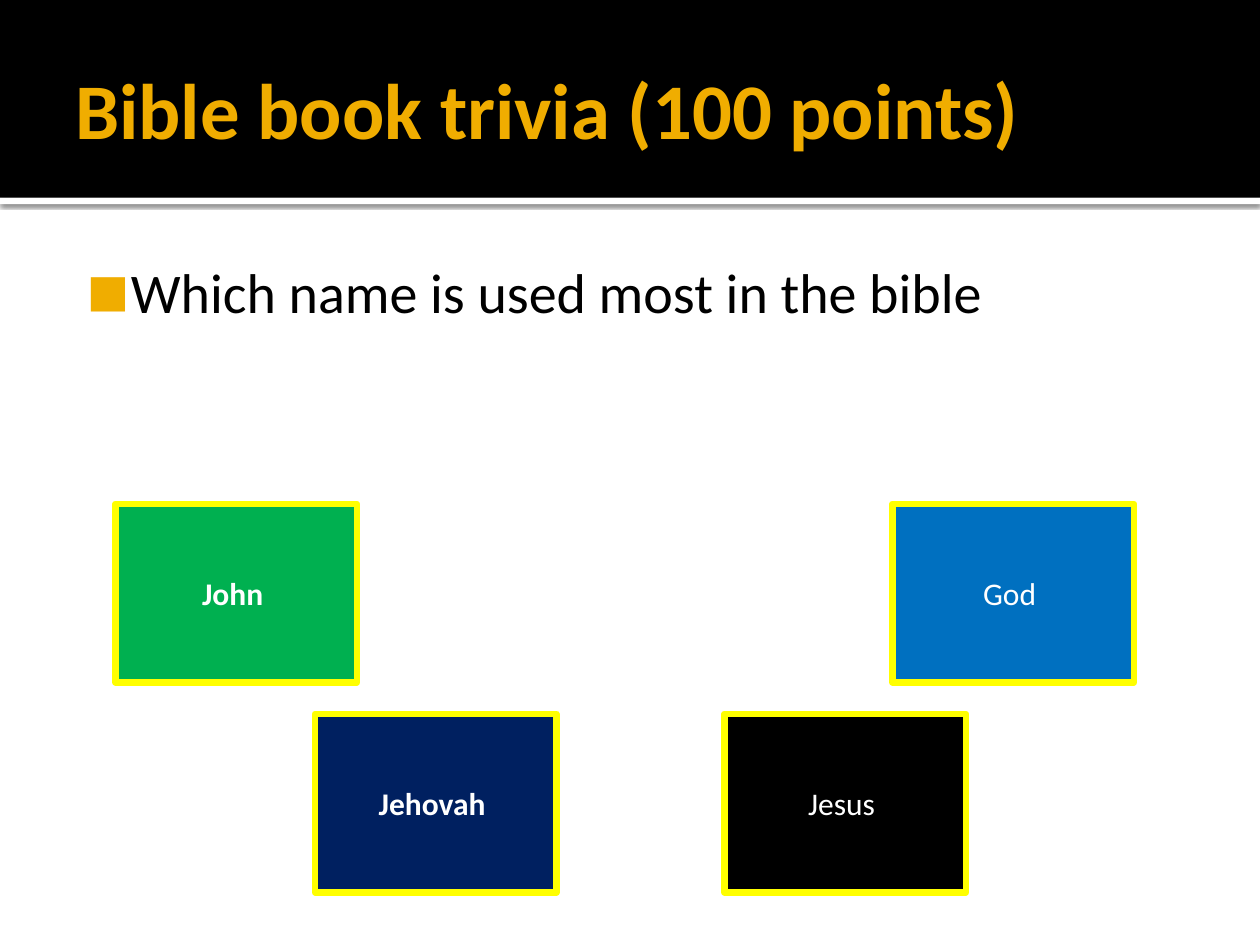
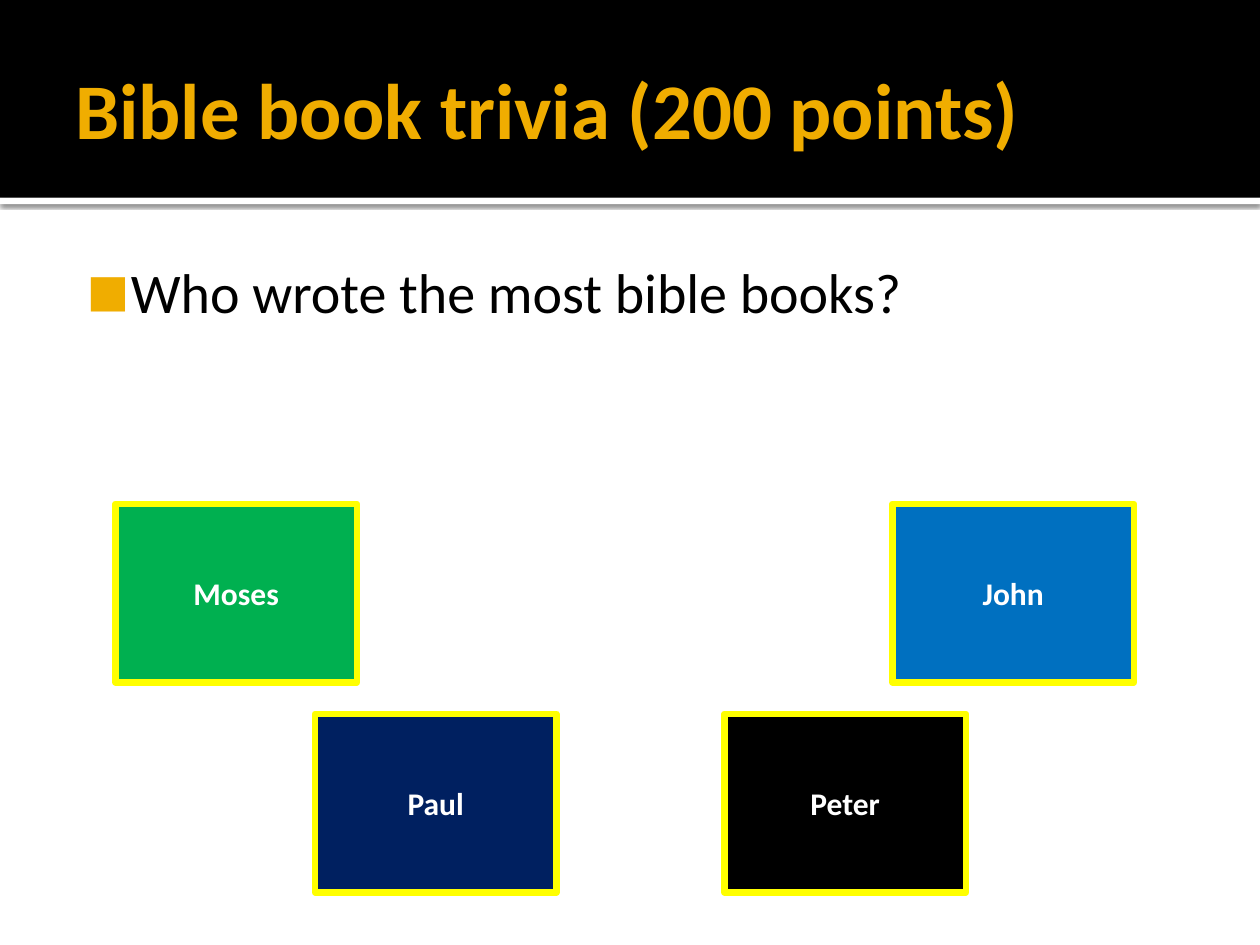
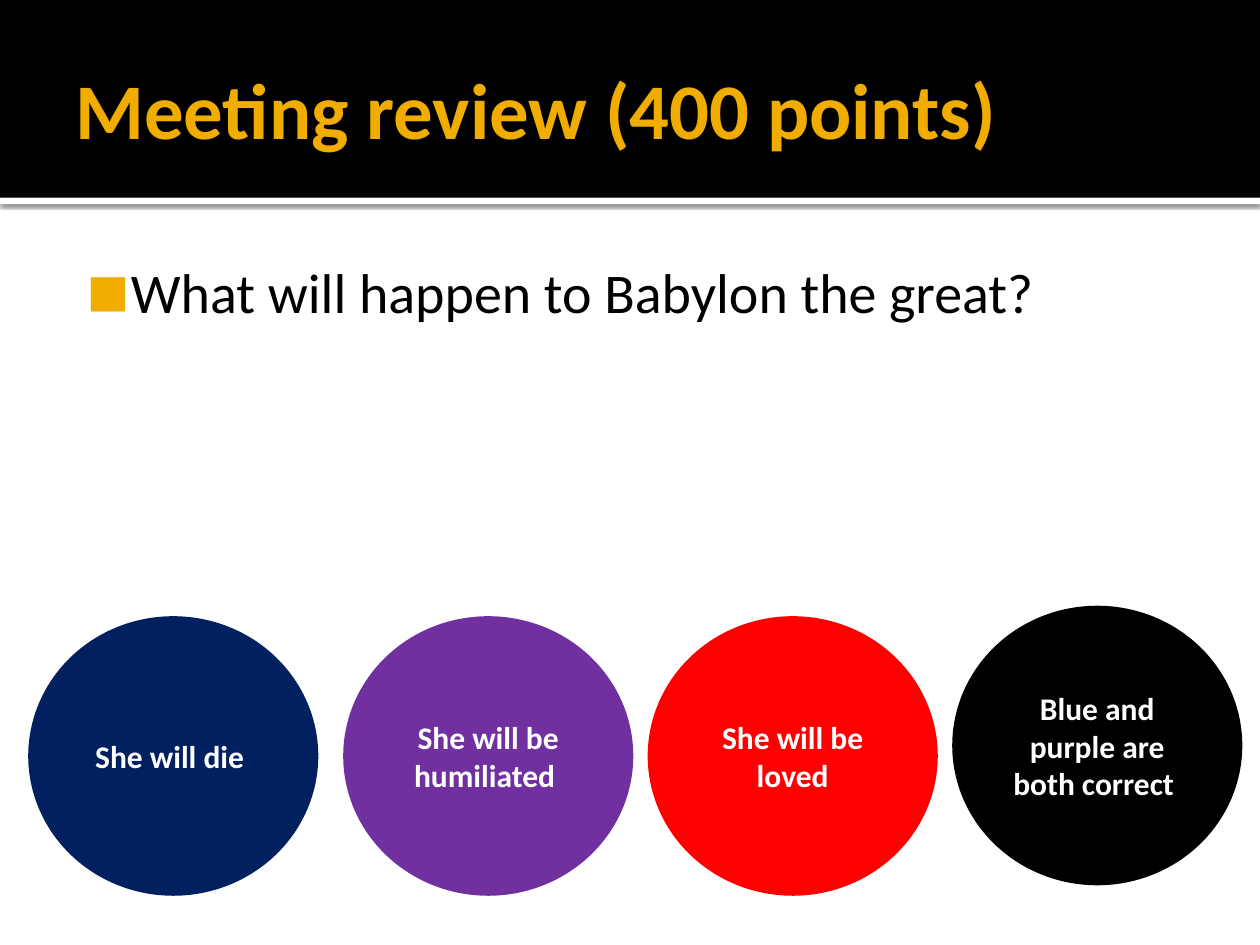
from lxml import etree
from pptx import Presentation
from pptx import util as u
from pptx.dml.color import RGBColor
from pptx.enum import shapes, text
from pptx.oxml import ns

FONT = "Calibri"
GOLD = RGBColor(0xF0, 0xAD, 0x00)
BLACK = RGBColor(0x00, 0x00, 0x00)
WHITE = RGBColor(0xFF, 0xFF, 0xFF)
YELLOW = RGBColor(0xFF, 0xFF, 0x00)
GREEN = RGBColor(0x00, 0xB0, 0x50)
NAVY = RGBColor(0x00, 0x20, 0x60)
BLUE = RGBColor(0x00, 0x70, 0xC0)
PURPLE = RGBColor(0x70, 0x30, 0xA0)
RED = RGBColor(0xFF, 0x00, 0x00)

RECT = shapes.MSO_SHAPE.RECTANGLE
OVAL = shapes.MSO_SHAPE.OVAL
CELL = u.Inches(1) // 12  # the slide is 120 columns by 90 rows
WIDE, HIGH = 120, 90
BAND, RULE = 18.84, 0.6

# Column, row and colour of each answer
CARDS = [(11, 48, GREEN), (30, 68, NAVY), (69, 68, BLACK), (85, 48, BLUE)]
DISCS = [(3, 59, NAVY), (33, 59, PURPLE), (62, 59, RED), (91, 58, BLACK)]


def grid(*cells):
    return [round(n * CELL) for n in cells]


def add(parent, tag, **attrs):
    node = etree.SubElement(parent, ns.qn(tag))
    for key, val in attrs.items():
        node.set(key, str(val))
    return node


def style(para, size, color, bold):
    for run in para.runs:
        font = run.font
        font.name, font.size, font.bold = FONT, u.Pt(size), bold
        font.color.rgb = color


def block(slide, kind, at, fill, edge=None):
    shape = slide.shapes.add_shape(kind, *grid(*at))
    shape.shadow.inherit = False
    shape.fill.solid()
    shape.fill.fore_color.rgb = fill
    if edge is None:
        shape.line.fill.background()
    else:
        shape.line.color.rgb = edge
        shape.line.width = u.Pt(3.78)
    return shape


def drop(shape):
    """Cast a soft shadow straight down."""
    fx = shape._element.spPr.find(ns.qn("a:effectLst"))
    cast = add(fx, "a:outerShdw", blurRad=u.Pt(2.5), dist=u.Pt(0.8),
               dir=90 * 60000, algn="tl", rotWithShape=0)
    add(add(cast, "a:srgbClr", val=BLACK), "a:alpha", val=60000)


def label(slide, words, at, pads):
    """Place a wrapped text box; pads are left, top, right, bottom inches."""
    box = slide.shapes.add_textbox(*grid(*at))
    frame = box.text_frame
    frame.word_wrap = True
    (frame.margin_left, frame.margin_top,
     frame.margin_right, frame.margin_bottom) = map(u.Inches, pads)
    frame.text = words
    return frame


def header(slide, title):
    drop(block(slide, RECT, (0, BAND, WIDE, RULE), WHITE))
    block(slide, RECT, (0, 0, WIDE, BAND), BLACK)
    frame = label(slide, title, (6, 2, 108, 16.5), (0.1, 0.05, 0.05, 0.05))
    frame.vertical_anchor = text.MSO_ANCHOR.MIDDLE
    style(frame.paragraphs[0], 45, GOLD, True)


def query(slide, words, rows):
    frame = label(slide, words, (6, 23.3, 108, rows), (0.06, 0.1, 0.1, 0.05))
    para = frame.paragraphs[0]
    props = para._p.get_or_add_pPr()
    props.set("marL", str(u.Inches(0.48)))
    props.set("indent", str(u.Inches(-0.35)))
    add(add(props, "a:buClr"), "a:srgbClr", val=GOLD)
    add(props, "a:buSzPct", val=80000)
    add(props, "a:buFont", typeface=FONT)
    add(props, "a:buChar", char="■")
    style(para, 32, BLACK, False)


def answer(slide, kind, at, fill, edge, words, bold=True):
    frame = block(slide, kind, at, fill, edge).text_frame
    frame.word_wrap = True
    frame.vertical_anchor = text.MSO_ANCHOR.MIDDLE
    frame.text = words
    para = frame.paragraphs[0]
    para.alignment = text.PP_ALIGN.CENTER
    style(para, 18, WHITE, bold)


def cards(slide, names, plain=()):
    for (col, row, fill), name in zip(CARDS, names):
        answer(slide, RECT, (col, row, 23, 17), fill, YELLOW, name,
               name not in plain)


def discs(slide, names):
    for (col, row, fill), name in zip(DISCS, names):
        answer(slide, OVAL, (col, row, 27, 26), fill, fill, name)


def page(deck, title, words, rows):
    slide = deck.slides.add_slide(deck.slide_layouts[6])
    header(slide, title)
    query(slide, words, rows)
    return slide


def main():
    deck = Presentation()
    deck.slide_width, deck.slide_height = grid(WIDE, HIGH)

    slide = page(deck, "Bible book trivia (100 points)",
                 "Which name is used most in the bible", 19.7)
    cards(slide, ["John ", "Jehovah ", "Jesus ", "God "], ["Jesus ", "God "])

    slide = page(deck, "Bible book trivia (200 points)",
                 "Who wrote the most bible books?", 26.8)
    cards(slide, ["Moses", "Paul", "Peter", "John"])

    slide = page(deck, "Meeting review (400 points)",
                 "What will happen to Babylon the great?", 27.7)
    discs(slide, ["She will die ", "She will be humiliated ",
                  "She will be loved", "Blue and purple are both correct "])

    deck.save("out.pptx")


if __name__ == "__main__":
    main()
